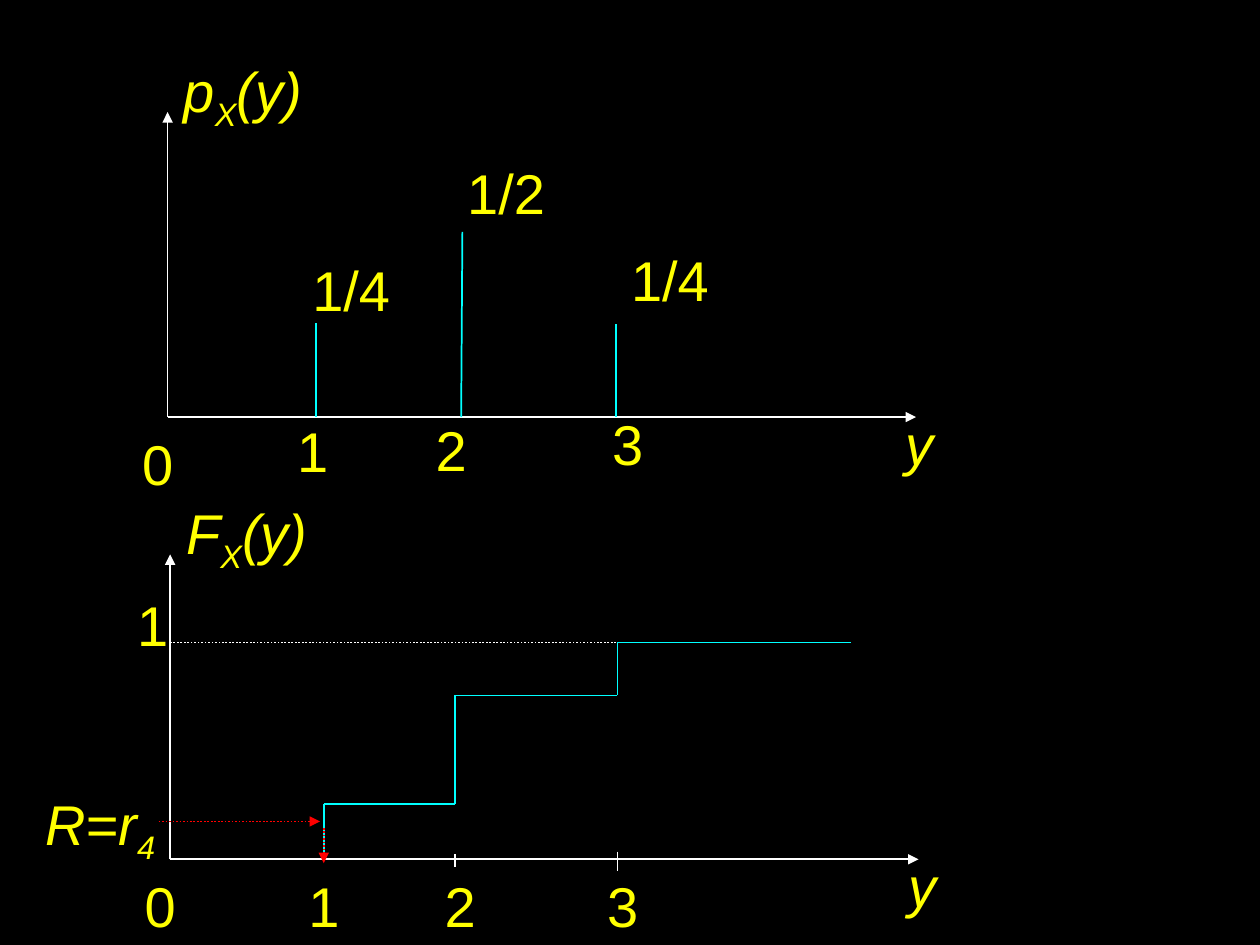
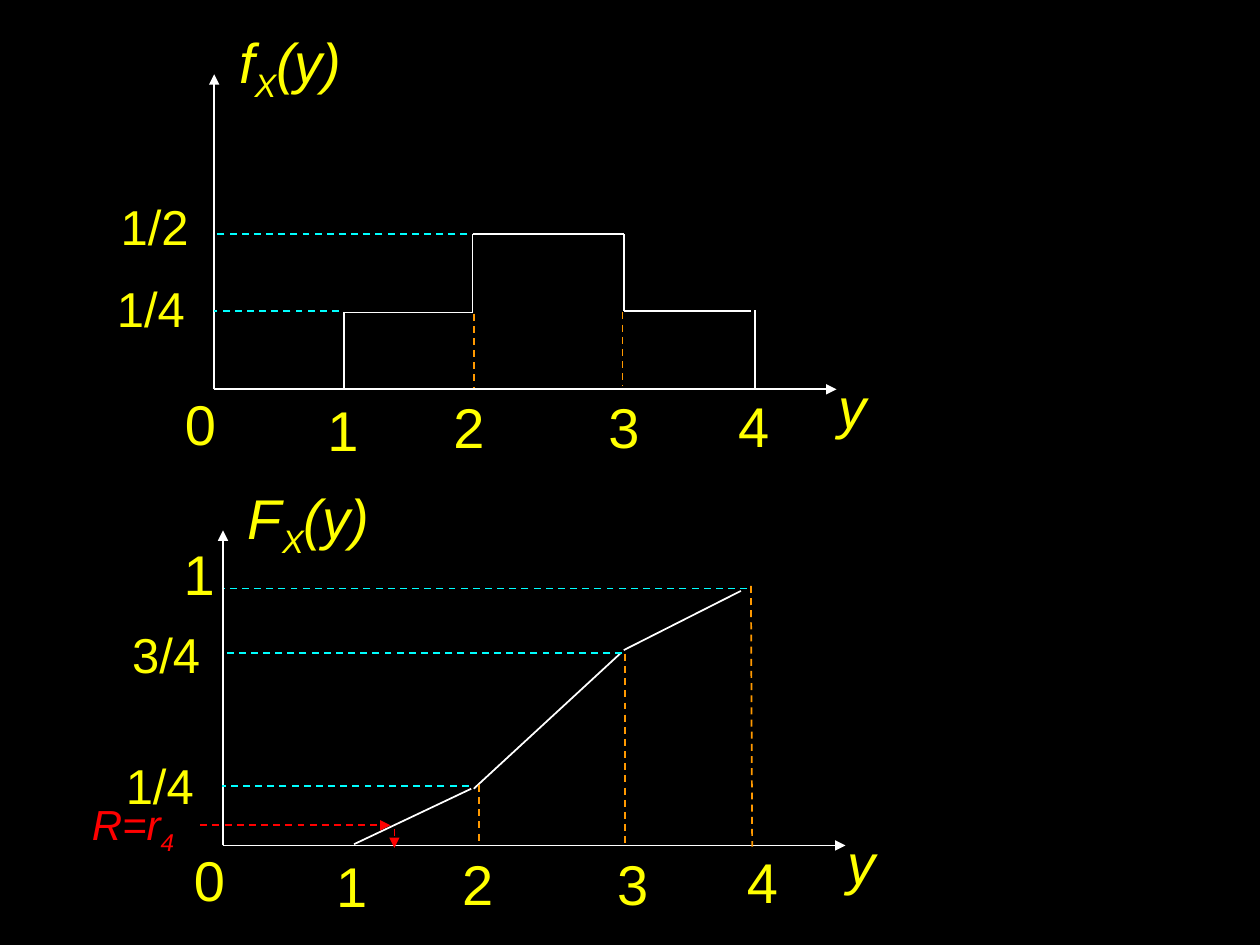
from lxml import etree
from pptx import Presentation
from pptx.dml.color import RGBColor
from pptx.enum import dml, shapes, text
from pptx.oxml import ns
from pptx.util import Inches, Pt

BLACK = RGBColor(0x00, 0x00, 0x00)
WHITE = RGBColor(0xFF, 0xFF, 0xFF)
YELLOW = RGBColor(0xFF, 0xFF, 0x00)
CYAN = RGBColor(0x00, 0xFF, 0xFF)
ORANGE = RGBColor(0xFF, 0x99, 0x00)
RED = RGBColor(0xFF, 0x00, 0x00)

DASH = dml.MSO_LINE.DASH
DOT = dml.MSO_LINE.ROUND_DOT  # stored as sysDot

BLANK_LAYOUT = 6
DIGIT_WIDTH = 0.44
FUNCTION_WIDTH = 1.2
FRACTION_WIDTHS = {32: 0.82, 28: 0.74}


class PlotSlides:
    """Holds the shared style and the slide being drawn."""

    font_name = "Arial"
    line_width = Pt(1)

    def __init__(self):
        self.presentation = Presentation()
        self.presentation.slide_width = Inches(10)
        self.presentation.slide_height = Inches(7.5)
        fill = self.presentation.slide_master.background.fill
        fill.solid()
        fill.fore_color.rgb = BLACK
        self.slide = None

    def new_slide(self):
        layout = self.presentation.slide_layouts[BLANK_LAYOUT]
        self.slide = self.presentation.slides.add_slide(layout)

    def line(self, start, end, color=WHITE, dash=None, arrow=False):
        points = [Inches(value) for value in (*start, *end)]
        connector = self.slide.shapes.add_connector(
            shapes.MSO_CONNECTOR.STRAIGHT, *points)
        connector.line.color.rgb = color
        connector.line.width = self.line_width
        if dash:
            connector.line.dash_style = dash
        properties = connector._element.spPr
        if arrow:
            outline = properties.find(ns.qn("a:ln"))
            etree.SubElement(outline, ns.qn("a:tailEnd"), type="triangle")
        etree.SubElement(properties, ns.qn("a:effectLst"))

    def lines(self, segments, **style):
        for start, end in segments:
            self.line(start, end, **style)

    def label(self, content, left, top, width=DIGIT_WIDTH, size=32,
              color=YELLOW, italic=False, wrap=False):
        """Write a label; a part between underscores becomes a subscript."""
        parts = content.split("_")
        height = size / (45 if len(parts) > 1 else 50)
        box = self.slide.shapes.add_textbox(
            Inches(left), Inches(top), Inches(width), Inches(height))
        frame = box.text_frame
        frame.word_wrap = wrap
        frame.auto_size = text.MSO_AUTO_SIZE.SHAPE_TO_FIT_TEXT
        font_format = {"name": self.font_name, "size": Pt(size), "italic": italic}
        for index, part in enumerate(parts):
            if not part:
                continue
            run = frame.paragraphs[0].add_run()
            run.text = part
            for attribute, value in font_format.items():
                setattr(run.font, attribute, value)
            run.font.color.rgb = color
            if index % 2:
                run._r.get_or_add_rPr().set("baseline", "-25000")

    def digits(self, positions):
        """Number the x axis from 1 upwards."""
        for number, (left, top) in enumerate(positions, start=1):
            self.label(str(number), left, top)

    def fraction(self, content, left, top, size=32):
        self.label(content, left, top, FRACTION_WIDTHS[size], size)

    def axes(self, origin, function, length, height, offsets):
        """Draw both axes with the function name, the zero and the variable."""
        x, y = origin
        self.line(origin, (x, y - height), arrow=True)
        self.line(origin, (x + length, y), arrow=True)
        names = ((function, FUNCTION_WIDTH, True), ("0", 0.2, False), ("y", 0.42, True))
        for (content, width, italic), (dx, dy) in zip(names, offsets):
            self.label(content, x + dx, y + dy, width, italic=italic,
                       wrap=content == "0")

    def save(self):
        self.presentation.save("out.pptx")


def draw_discrete_case(plot):
    plot.new_slide()
    axes_style = {"length": 5.94, "height": 2.42,
                  "offsets": [(0.03, -2.91), (-0.3, 0.05), (5.76, -0.11)]}

    # Probability mass function
    plot.axes((1.33, 3.31), "p_X_(y)", **axes_style)
    plot.lines([((2.51, 3.31), (2.51, 2.56)),
                ((3.66, 3.31), (3.67, 1.84)),
                ((4.89, 3.31), (4.89, 2.57))], color=CYAN)
    for content, left, top in (("1/4", 2.38, 1.98), ("1/2", 3.61, 1.21),
                               ("1/4", 4.91, 1.9)):
        plot.fraction(content, left, top)
    plot.digits([(2.26, 3.26), (3.36, 3.25), (4.76, 3.2)])

    # Cumulative distribution as a staircase
    plot.axes((1.35, 6.82), "F_X_(y)", **axes_style)
    stairs = [(2.57, 6.82), (2.57, 6.38), (3.61, 6.38), (3.61, 5.52),
              (4.9, 5.52), (4.9, 5.1), (6.75, 5.1)]
    plot.lines(zip(stairs, stairs[1:]), color=CYAN)
    plot.line((4.89, 5.1), (1.35, 5.1), dash=DOT)
    plot.label("1", 0.99, 4.64)
    plot.digits([(left, 6.87) for left in (2.35, 3.43, 4.72)])
    plot.lines([((3.61, 6.78), (3.61, 6.88)), ((4.9, 6.76), (4.9, 6.91))])

    # Random number mapped to its value
    plot.label("R=r_4_", 0.26, 6.22, 1.12, italic=True)
    plot.lines([((1.26, 6.52), (2.54, 6.52)), ((2.57, 6.57), (2.57, 6.85))],
               color=RED, dash=DOT, arrow=True)


def draw_continuous_case(plot):
    plot.new_slide()
    axes_style = {"length": 4.94, "height": 2.5,
                  "offsets": [(0.1, -2.92), (-0.33, -0.05), (4.86, -0.18)]}
    digit_offsets = [(0.8, 0), (1.8, -0.02), (3.03, -0.02), (4.06, -0.03)]
    for (x, y), function in (((1.7, 3.09), "f_X_(y)"), ((1.77, 6.71), "F_X_(y)")):
        plot.axes((x, y), function, **axes_style)
        plot.digits([(x + dx, y + dy) for dx, dy in digit_offsets])

    # Density
    steps = [(2.73, 3.09), (2.73, 2.48), (3.75, 2.48), (3.75, 1.86),
             (4.95, 1.86), (4.95, 2.47), (5.96, 2.47)]
    plot.lines(zip(steps, steps[1:]))
    plot.line((5.99, 3.08), (5.99, 2.46))
    plot.fraction("1/4", 0.83, 2.16, 28)
    plot.fraction("1/2", 0.86, 1.51, 28)

    # Cumulative distribution
    plot.lines([((2.81, 6.7), (3.74, 6.26)),
                ((3.76, 6.26), (4.93, 5.18)),
                ((4.95, 5.16), (5.88, 4.69))])
    plot.fraction("1/4", 0.9, 5.95, 28)
    plot.fraction("3/4", 0.95, 4.91, 28)
    plot.label("1", 1.36, 4.23)

    # Guides from the curves to the axes
    for right, left, y in ((3.71, 1.7, 1.86), (2.69, 1.7, 2.47),
                           (3.72, 1.76, 6.24), (4.94, 1.76, 5.18),
                           (5.93, 1.78, 4.67)):
        plot.line((right, y), (left, y), CYAN, DASH)
    plot.lines([((3.76, 2.49), (3.76, 3.07)), ((4.94, 2.48), (4.94, 3.06)),
                ((3.8, 6.23), (3.8, 6.68)), ((4.96, 5.19), (4.96, 6.69)),
                ((5.96, 4.65), (5.97, 6.72))], color=ORANGE, dash=DASH)

    # Random number mapped to its value
    plot.label("R=r_4_", 0.63, 6.29, 0.95, 24, RED, italic=True)
    plot.lines([((1.59, 6.55), (3.1, 6.55)), ((3.13, 6.58), (3.13, 6.73))],
               color=RED, dash=DASH, arrow=True)


def main():
    plot = PlotSlides()
    draw_discrete_case(plot)
    draw_continuous_case(plot)
    plot.save()


if __name__ == "__main__":
    main()
